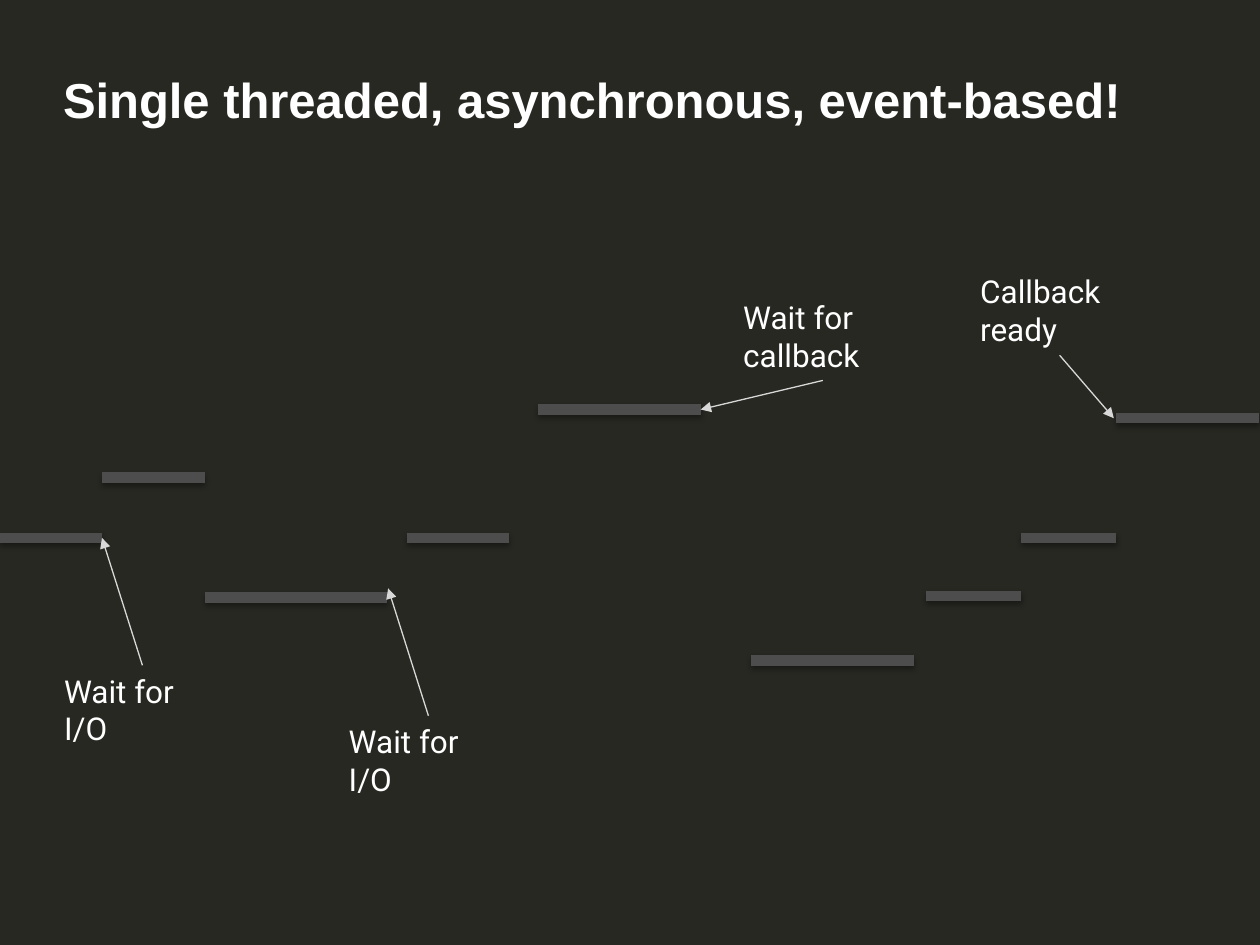
from lxml.etree import SubElement
from pptx import Presentation
from pptx.dml.color import RGBColor
from pptx.enum.shapes import MSO_CONNECTOR as CONN
from pptx.enum.text import MSO_ANCHOR as ANCHOR, MSO_AUTO_SIZE as AUTO, PP_ALIGN as ALIGN
from pptx.oxml.ns import qn
from pptx.util import Pt

# Content: lengths in points
TITLE = "Single threaded, asynchronous, event-based!"
TITLE_BOX = (36, 34.56, 648, 47.52)
BACKGROUND, BAR, ARROW, WHITE = "272822", "4D4D4D", "D8D8D8", "FFFFFF"
LABEL_W = 104.4

# Running periods: start x, end x, y
BARS = [
    (0, 58.3, 307.4), (58.3, 117.2, 272.9), (117.2, 221, 341.3),
    (232.6, 290.9, 307.4), (307.4, 400.4, 234), (429.1, 522, 377.3),
    (529.2, 583.7, 340.6), (583.7, 638, 307.4), (638, 719.4, 239),
]

# Label, its left, top and height, then the arrow's start and end
NOTES = [
    ("Wait for I/O", (29.5, 380.2, 28.8), (81.4, 380.2), (58.3, 307.4)),
    ("Wait for I/O", (192.2, 409, 28.8), (244.8, 409), (221.8, 336.2)),
    ("Wait for callback", (417.6, 167, 51.1), (470.2, 217.4), (400.4, 234)),
    ("Callback ready", (553, 151.9, 51.1), (605.5, 203), (636.5, 239)),
]


def rgb(color):
    return RGBColor.from_string(color)


def write(tf, text, **font):
    p = tf.paragraphs[0]
    p.alignment = ALIGN.LEFT
    r = p.add_run()
    r.text = text
    r.font.color.rgb = rgb(WHITE)
    for name, value in font.items():
        setattr(r.font, name, value)
    return p


def add_line(s, start, end, color, width):
    """Add a straight line; return it with its empty effect list."""
    line = s.shapes.add_connector(CONN.STRAIGHT, *map(Pt, start + end))
    line.line.color.rgb = rgb(color)
    line.line.width = Pt(width)
    return line, SubElement(line._element.spPr, qn("a:effectLst"))


def add_bar(s, x1, x2, y):
    _, effects = add_line(s, (x1, y), (x2, y), BAR, 6)
    shadow = SubElement(effects, qn("a:outerShdw"), blurRad=str(Pt(3.1)),
                        dist=str(Pt(1.8)), dir="5400000", rotWithShape="0")
    black = SubElement(shadow, qn("a:srgbClr"), val="000000")
    SubElement(black, qn("a:alpha"), val="35000")


def add_note(s, text, box, start, end):
    left, top, height = box
    tf = s.shapes.add_textbox(*map(Pt, (left, top, LABEL_W, height))).text_frame
    tf.word_wrap = True
    tf.auto_size = AUTO.SHAPE_TO_FIT_TEXT
    write(tf, text, name="Roboto", size=Pt(18))
    arrow, _ = add_line(s, start, end, ARROW, 0.75)
    SubElement(arrow.line._get_or_add_ln(), qn("a:tailEnd"), type="triangle")


def main():
    prs = Presentation()
    prs.slide_width, prs.slide_height = Pt(720), Pt(540)
    s = prs.slides.add_slide(prs.slide_layouts[5])
    s.background.fill.solid()
    s.background.fill.fore_color.rgb = rgb(BACKGROUND)

    # Title
    title = s.shapes.title
    title.left, title.top, title.width, title.height = map(Pt, TITLE_BOX)
    tf = title.text_frame
    for side in ("left", "top", "right", "bottom"):
        setattr(tf, f"margin_{side}", 0)
    tf.vertical_anchor = ANCHOR.TOP
    tf.auto_size = AUTO.NONE
    p = write(tf, TITLE, name="Arial", size=Pt(28), bold=True)
    p.line_spacing = Pt(39)

    # Timeline and its notes
    for bar in BARS:
        add_bar(s, *bar)
    for note in NOTES:
        add_note(s, *note)

    prs.save("out.pptx")


if __name__ == "__main__":
    main()
